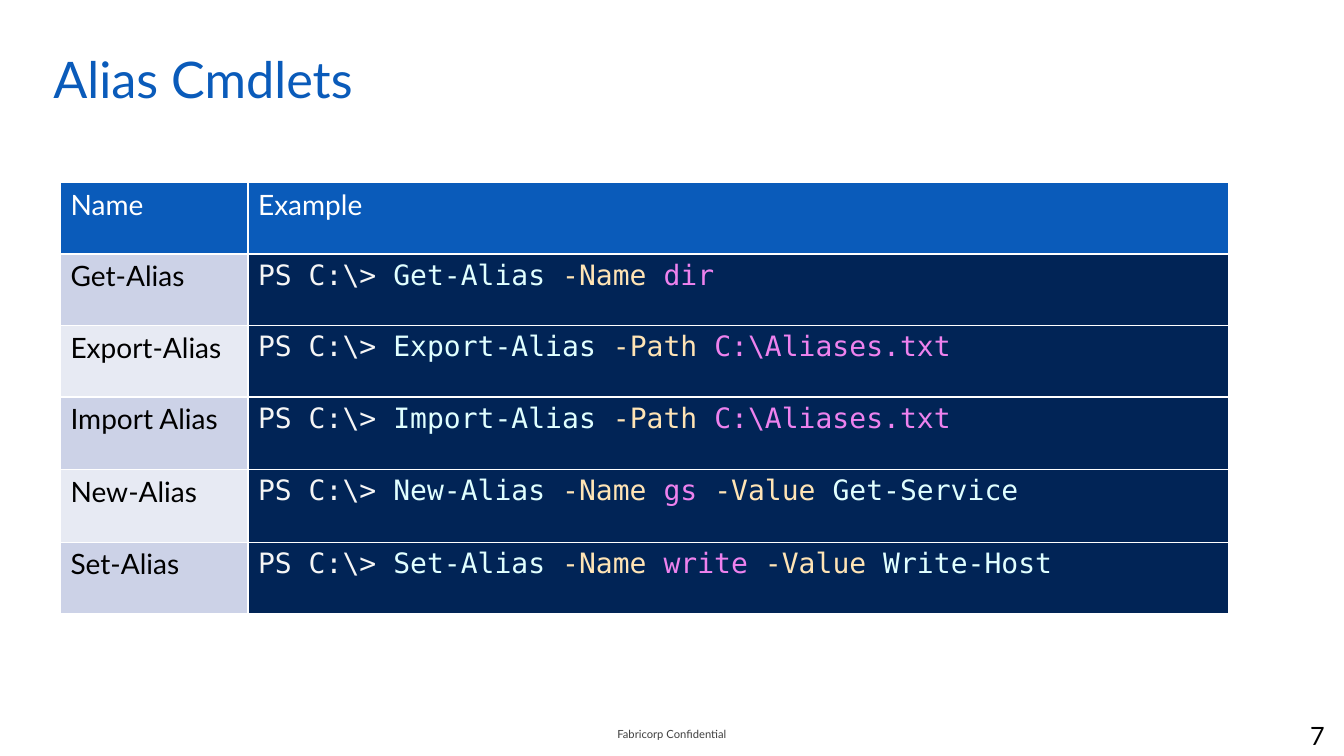
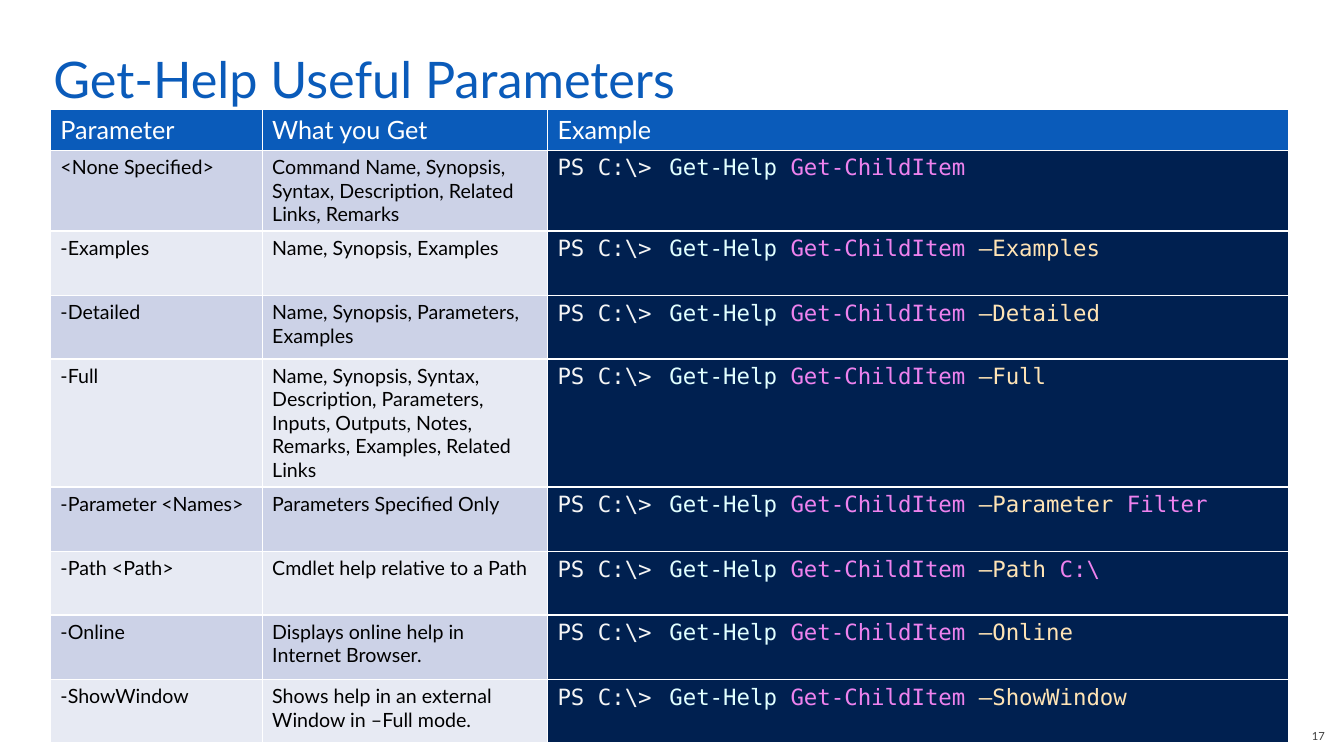
from pptx import Presentation
from pptx.dml.color import RGBColor
from pptx.enum.text import MSO_ANCHOR, MSO_AUTO_SIZE, PP_ALIGN
from pptx.util import Inches, Pt

TOP, MIDDLE = MSO_ANCHOR.TOP, MSO_ANCHOR.MIDDLE
LEFT, CENTER, RIGHT = PP_ALIGN.LEFT, PP_ALIGN.CENTER, PP_ALIGN.RIGHT
NO_FIT = MSO_AUTO_SIZE.NONE

COLORS = {
    "blue": "0A5BBA", "white": "FFFFFF", "black": "000000", "gray": "3F3F3F",
    "odd": "CCD2E7", "even": "E7EAF3", "navy": "012456", "ink": "002050",
    "prompt": "F5F5F5", "cmd": "E0FFFF", "param": "FFE4B5", "value": "EE82EE",
}
SANS, MONO = "Lato", "DejaVu Sans Mono"
PROMPT = ("prompt", "PS C:\\> ")
HELP = [("cmd", "Get-Help "), ("value", "Get-ChildItem ")]


def add_run(para, text, size, color, face=SANS):
    run = para.add_run()
    run.text = text
    font = run.font
    font.size, font.name, font.bold = Pt(size), face, False
    font.color.rgb = RGBColor.from_string(COLORS[color])
    return run


def set_frame(frame, insets, anchor, align):
    """Set the layout of a text frame and return its first paragraph."""
    (frame.margin_left, frame.margin_top,
     frame.margin_right, frame.margin_bottom) = map(Inches, insets)
    frame.vertical_anchor, frame.auto_size = anchor, NO_FIT
    frame.word_wrap = True
    para = frame.paragraphs[0]
    para.alignment = align
    return para


# Each table row holds plain labels, then the coloured parts of a command.
ALIASES = [
    ("Get-Alias", [("cmd", "Get-Alias "), ("param", "-Name "), ("value", "dir")]),
    ("Export-Alias", [("cmd", "Export-Alias "), ("param", "-Path "),
                      ("value", "C:\\Aliases.txt")]),
    ("Import Alias", [("cmd", "Import-Alias "), ("param", "-Path "),
                      ("value", "C:\\Aliases.txt")]),
    ("New-Alias", [("cmd", "New-Alias "), ("param", "-Name "), ("value", "gs "),
                   ("param", "-Value "), ("cmd", "Get-Service")]),
    ("Set-Alias", [("cmd", "Set-Alias "), ("param", "-Name "), ("value", "write "),
                   ("param", "-Value "), ("cmd", "Write-Host")]),
]
OPTIONS = [
    ("<None Specified>",
     "Command Name, Synopsis, Syntax, Description, Related Links, Remarks",
     [("cmd", "Get-Help "), ("value", "Get-ChildItem")]),
    ("-Examples", "Name, Synopsis, Examples", HELP + [("param", "–Examples")]),
    ("-Detailed", "Name, Synopsis, Parameters, Examples",
     HELP + [("param", "–Detailed")]),
    ("-Full",
     "Name, Synopsis, Syntax, Description, Parameters, Inputs, Outputs, Notes, "
     "Remarks, Examples, Related Links", HELP + [("param", "–Full")]),
    ("-Parameter <Names>", "Parameters Specified Only",
     HELP + [("param", "–Parameter "), ("value", "Filter")]),
    ("-Path <Path>", "Cmdlet help relative to a Path",
     HELP + [("param", "–Path "), ("value", "C:\\")]),
    ("-Online", "Displays online help in Internet Browser.",
     HELP + [("param", "–Online")]),
    ("-ShowWindow", "Shows help in an external Window in –Full mode.",
     HELP + [("param", "–ShowWindow")]),
]
NOTE_BOX, PAGE_BOX = (5.11, 7.08, 3.11, 0.4), (10.23, 7.1, 3.11, 0.4)

SLIDES = [
    {"title": "Alias Cmdlets", "at": (0.6, 1.81),
     "cols": [1.86, 9.73], "rows": [0.71, 0.71, 0.71, 0.72, 0.72, 0.71],
     "head": ["Name", "Example"], "body": ALIASES,
     "sizes": (20, 20, 20), "code": "navy", "gap": 0,
     "notes": [("Fabricorp Confidential", NOTE_BOX, CENTER, 8, "gray"),
               ("7", PAGE_BOX, RIGHT, 18, "black")]},
    {"title": "Get-Help Useful Parameters", "at": (0.5, 1.09),
     "cols": [2.1, 2.83, 7.35],
     "rows": [0.4, 0.8, 0.64, 0.63, 1.27, 0.64, 0.63, 0.64, 0.63],
     "head": ["Parameter", "What you Get", "Example"], "body": OPTIONS,
     "sizes": (18, 14, 16), "code": "ink", "gap": 3,
     "notes": [("17", PAGE_BOX, RIGHT, 8, "gray")]},
]

deck = Presentation()
deck.slide_width, deck.slide_height = Inches(13.33), Inches(7.5)
layout = deck.slide_layouts[5]
base = layout.placeholders[0]
base.left, base.top, base.width, base.height = map(Inches, (0.33, 0.33, 12.33, 0.75))

for data in SLIDES:
    slide = deck.slides.add_slide(layout)
    para = set_frame(slide.shapes.title.text_frame, (0.2, 0.15, 0.1, 0.05), TOP, LEFT)
    add_run(para, data["title"], 36, "blue")

    for text, box, align, size, color in data["notes"]:
        note = slide.shapes.add_textbox(*map(Inches, box))
        para = set_frame(note.text_frame, (0.2, 0.05, 0.2, 0.05), MIDDLE, align)
        add_run(para, text, size, color)

    cols, rows = data["cols"], data["rows"]
    area = (*data["at"], sum(cols), sum(rows))
    table = slide.shapes.add_table(len(rows), len(cols), *map(Inches, area)).table
    for col, width in zip(table.columns, cols):
        col.width = Inches(width)
    for row, height in zip(table.rows, rows):
        row.height = Inches(height)

    big, small, mono = data["sizes"]
    for r, line in enumerate([data["head"], *data["body"]]):
        for c, item in enumerate(line):
            cell = table.cell(r, c)
            para = cell.text_frame.paragraphs[0]
            if r == 0:
                fill = "blue"
                add_run(para, item, big, "white")
            elif c < len(cols) - 1:
                fill = "odd" if r % 2 else "even"
                add_run(para, item, small, "black")
            else:
                fill = data["code"]
                for kind, text in [PROMPT, *item]:
                    run = add_run(para, text, mono, kind, MONO)
                    if kind == "prompt" and data["gap"]:
                        # Widen only the last space of the prompt.
                        run.text = text.rstrip()
                        space = add_run(para, " ", mono, kind, MONO)
                        space.font._element.set("spc", str(data["gap"] * 100))
            cell.fill.solid()
            cell.fill.fore_color.rgb = RGBColor.from_string(COLORS[fill])

deck.save("out.pptx")
